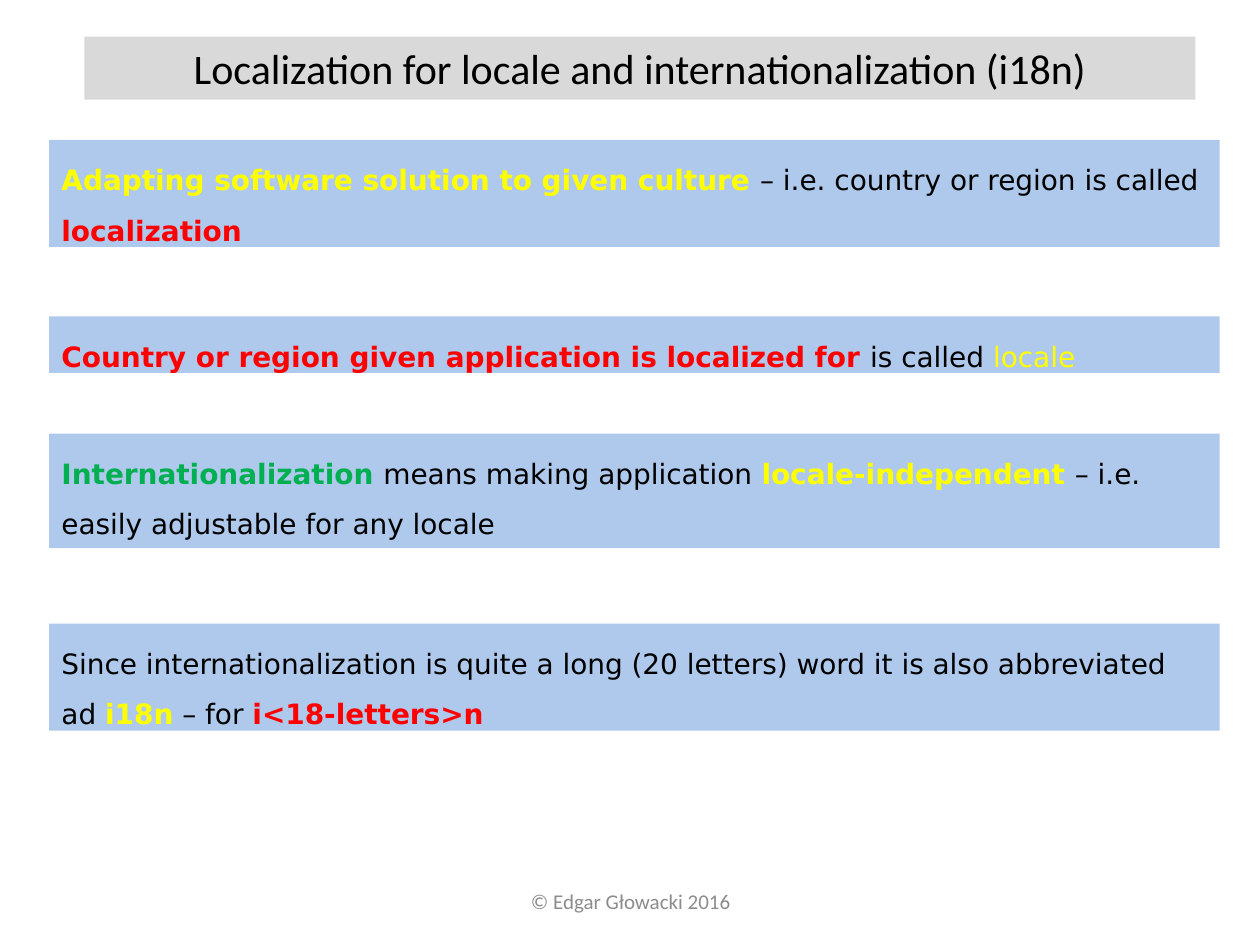
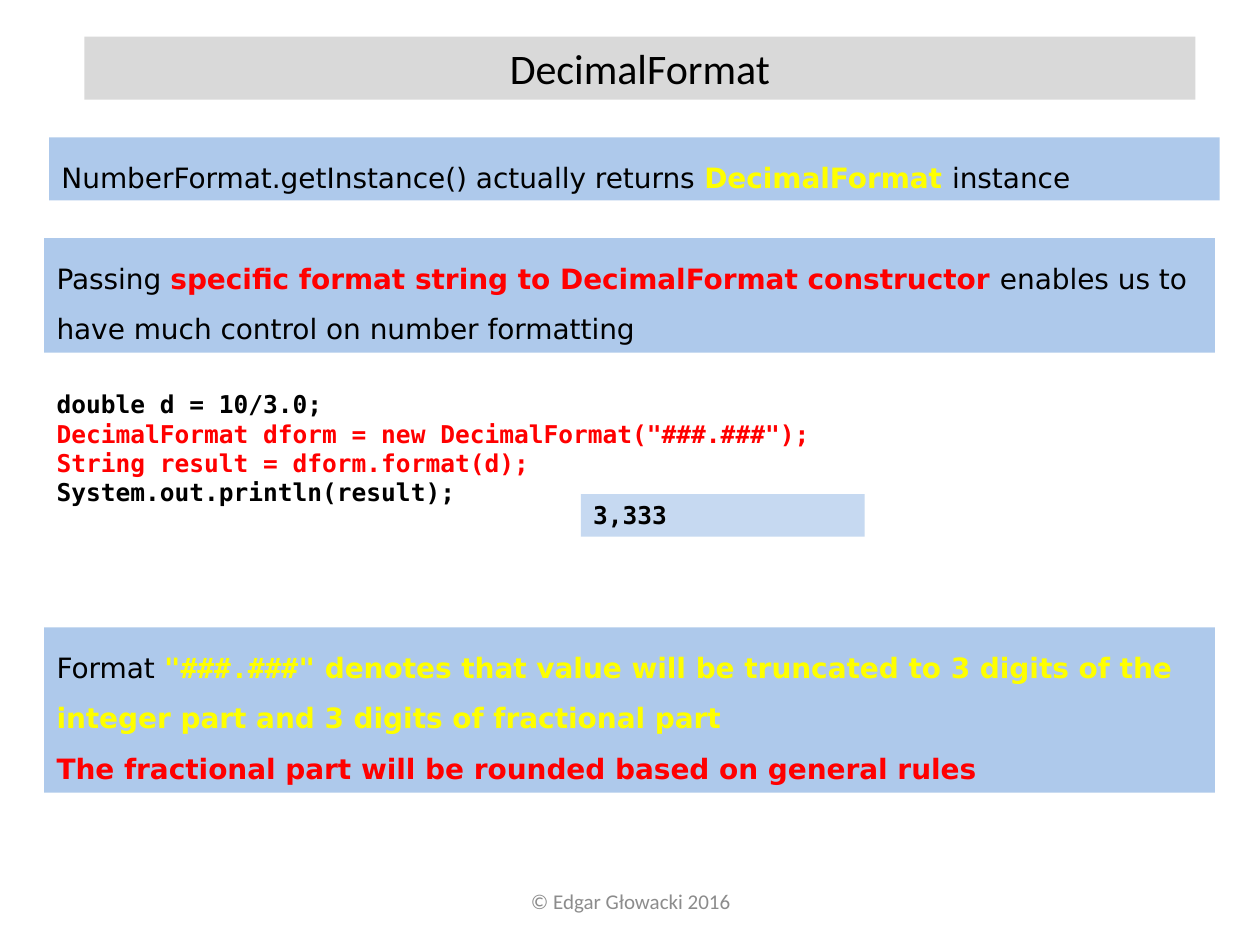
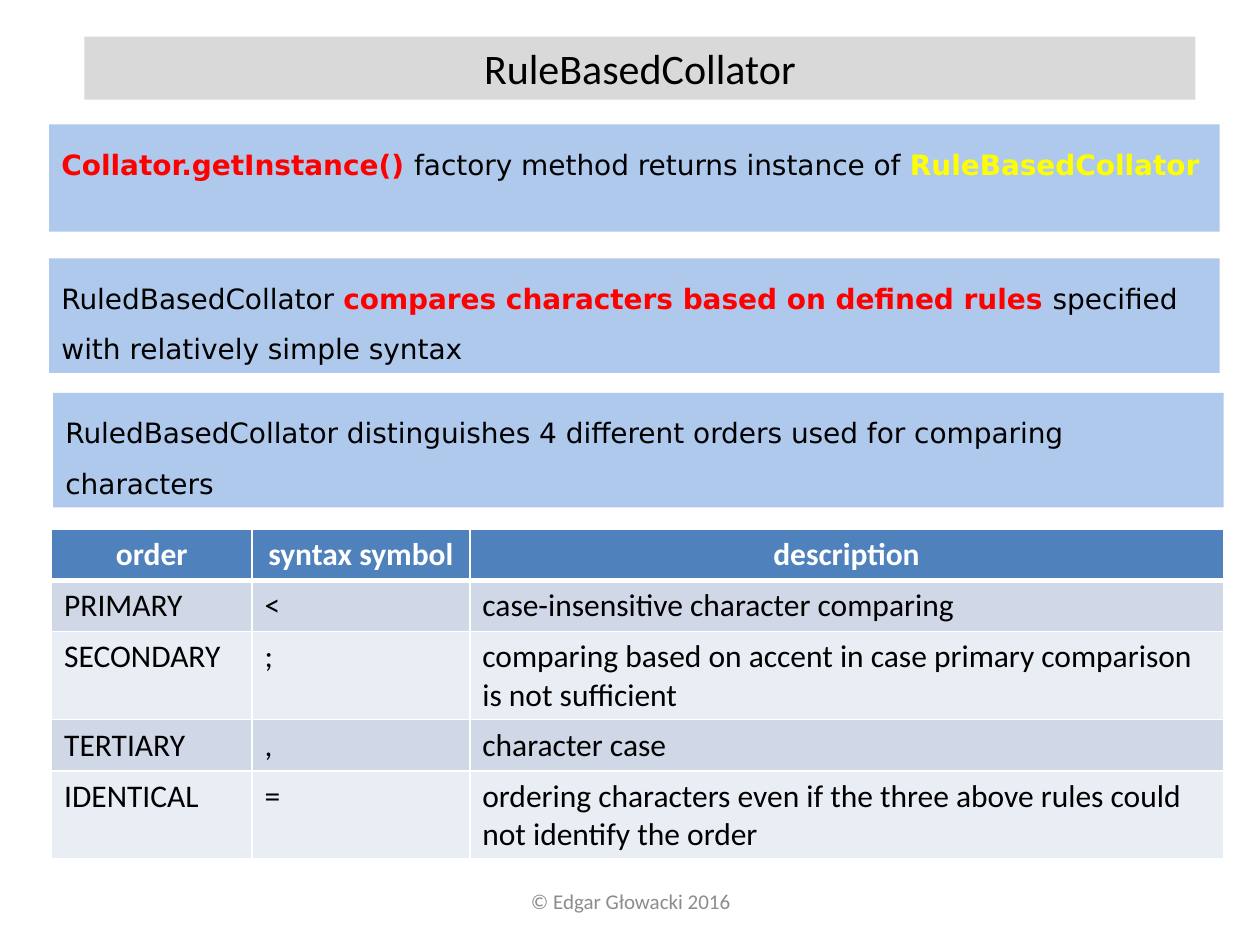
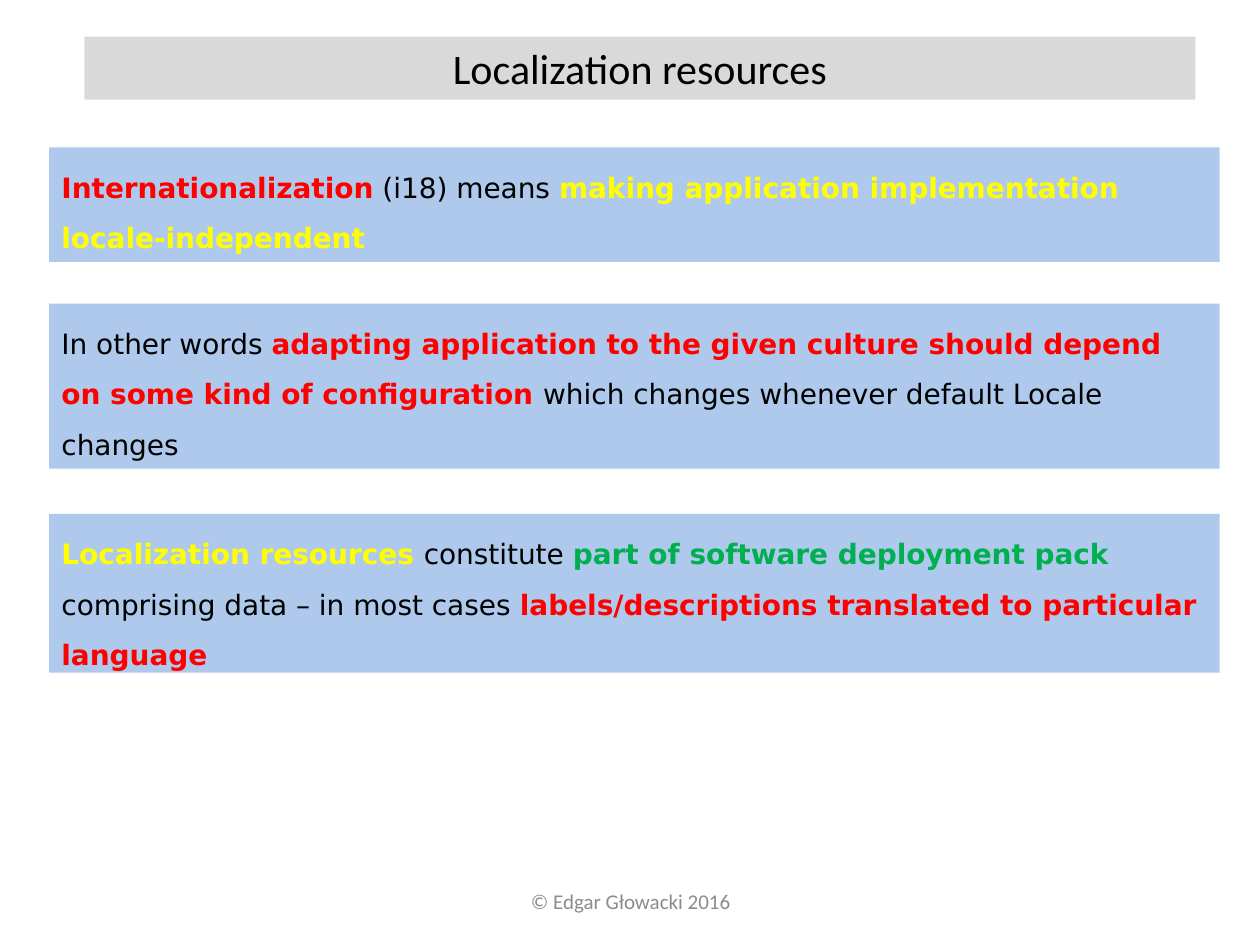
from dataclasses import dataclass
from typing import NamedTuple

from lxml.etree import SubElement
from pptx import Presentation
from pptx.dml.color import RGBColor
from pptx.enum.shapes import MSO_SHAPE
from pptx.enum.text import MSO_ANCHOR, MSO_AUTO_SIZE, PP_ALIGN
from pptx.oxml.ns import qn
from pptx.util import Cm, Pt

SANS, MONO, HEADING = "DejaVu Sans", "DejaVu Sans Mono", "Calibri"
BLACK, WHITE, GREY = "000000", "FFFFFF", "8C8C8C"
RED, YELLOW, GREEN = "FF0000", "FFFF00", "00B050"
TITLE_BAND, NOTE_BAND, OUTPUT_BAND = "D9D9D9", "8EB4E3", "C6D9F1"
HEADER_FILL, ROW_FILLS = "4F81BD", ("D0D8E8", "E9EDF4")
NOTE_OPACITY = 71
FOOTER = "© Edgar Głowacki 2016"


class Box(NamedTuple):
    """A place on the slide, in centimetres."""
    left: float
    top: float
    width: float
    height: float

    def lengths(self) -> list[Cm]:
        return [Cm(value) for value in self]


class Span(NamedTuple):
    text: str
    color: str = BLACK
    bold: bool = False
    font: str = SANS


@dataclass
class Style:
    size: int
    align: PP_ALIGN = PP_ALIGN.LEFT
    line_spacing: float = 1.0
    anchor: MSO_ANCHOR = MSO_ANCHOR.TOP
    grows: bool = True


@dataclass
class Note:
    """A blue band that holds one or more paragraphs of spans."""
    top: float
    height: float
    paragraphs: list[list[Span]]
    left: float = 0.99


@dataclass
class Page:
    title: str
    notes: list[Note]


TITLE_BOX = Box(1.7, 0.74, 22.4, 1.27)
FOOTER_BOX = Box(8.69, 17.65, 8.05, 1.02)
NOTE_WIDTH = 23.6
TITLE_STYLE = Style(24, PP_ALIGN.CENTER)
FOOTER_STYLE = Style(12, PP_ALIGN.CENTER, anchor=MSO_ANCHOR.MIDDLE, grows=False)
NOTE_STYLE = Style(16, line_spacing=1.5)
CODE_STYLE = Style(14)


def strong(text: str, color: str, font: str = SANS) -> Span:
    return Span(text, color, True, font)


PAGES = [
    Page("Localization for locale and internationalization (i18n)", [
        Note(2.82, 2.16, [[
            strong("Adapting software solution to given culture ", YELLOW),
            Span("– i.e. country or region is called "),
            strong("localization", RED)]]),
        Note(6.38, 1.14, [[
            strong("Country or region given application is localized for ", RED),
            Span("is called "),
            Span("locale", YELLOW)]]),
        Note(8.74, 2.31, [[
            strong("Internationalization ", GREEN),
            Span("means making application "),
            strong("locale-independent ", YELLOW),
            Span("– i.e. easily adjustable for any locale")]]),
        Note(12.57, 2.16, [[
            Span("Since internationalization is quite a long (20 letters) word "
                 "it is also abbreviated ad "),
            strong("i18n", YELLOW),
            Span(" – for "),
            strong("i<18-letters>n", RED)]]),
    ]),
    Page("DecimalFormat", [
        Note(2.77, 1.27, [[
            Span("NumberFormat.getInstance() actually returns "),
            strong("DecimalFormat ", YELLOW),
            Span("instance")]]),
        Note(4.8, 2.31, [[
            Span("Passing "),
            strong("specific format string to DecimalFormat constructor ", RED),
            Span("enables us to have much control on number formatting")]], left=0.89),
        Note(12.65, 3.33, [
            [Span("Format "),
             strong('"###.###"', YELLOW, MONO),
             strong(" denotes that value will be truncated to 3 digits of the "
                    "integer part and 3 digits of fractional part", YELLOW)],
            [strong("The fractional part will be rounded based on general rules", RED)],
        ], left=0.89),
    ]),
    Page("RuleBasedCollator", [
        Note(2.51, 2.16, [[
            strong("Collator.getInstance() ", RED),
            Span("factory method returns instance of "),
            strong("RuleBasedCollator", YELLOW)]]),
        Note(5.21, 2.31, [[
            Span("RuledBasedCollator "),
            strong("compares characters based on defined rules ", RED),
            Span("specified with relatively simple syntax")]]),
        Note(7.92, 2.31, [[
            Span("RuledBasedCollator distinguishes 4 different orders used "
                 "for comparing characters")]], left=1.07),
    ]),
    Page("Localization resources", [
        Note(2.97, 2.31, [[
            strong("Internationalization", RED),
            Span(" (i18) means "),
            strong("making application implementation locale-independent", YELLOW)]]),
        Note(6.12, 3.33, [[
            Span("In other words "),
            strong("adapting application to the given culture should depend on "
                   "some kind of configuration ", RED),
            Span("which changes whenever default Locale changes")]]),
        Note(10.36, 3.2, [[
            strong("Localization resources ", YELLOW),
            Span("constitute "),
            strong("part of software deployment pack ", GREEN),
            Span("comprising data – in most cases "),
            strong("labels/descriptions translated to particular language", RED)]]),
    ]),
]

CODE_BOX = Box(0.89, 7.72, 23.52, 2.64)
CODE = [
    ("double d = 10/3.0;", BLACK),
    ('DecimalFormat dform = new DecimalFormat("###.###");', RED),
    ("String result = dform.format(d);", RED),
    ("System.out.println(result);", BLACK),
]
OUTPUT_BOX = Box(11.71, 9.96, 5.72, 0.86)

ORDERS_LEFT, ORDERS_TOP = 1.04, 10.67
ORDERS_COLUMNS = (4.04, 4.39, 15.19)
ORDERS_ROW = 1.03
ORDERS = [
    ("order", "syntax symbol", "description"),
    ("PRIMARY", "<", "case-insensitive character comparing"),
    ("SECONDARY", ";", "comparing based on accent in case primary comparison is not sufficient"),
    ("TERTIARY", ",", "character case"),
    ("IDENTICAL", "=", "ordering characters even if the three above rules could not "
                       "identify the order"),
]


def rgb(color: str) -> RGBColor:
    return RGBColor.from_string(color)


def write_spans(paragraph, spans: list[Span], size: int) -> None:
    for span in spans:
        run = paragraph.add_run()
        run.text = span.text
        run.font.name = span.font
        run.font.size = Pt(size)
        run.font.bold = span.bold
        run.font.color.rgb = rgb(span.color)


def write(shape, paragraphs: list[list[Span]], style: Style) -> None:
    frame = shape.text_frame
    frame.word_wrap = True
    frame.vertical_anchor = style.anchor
    frame.auto_size = MSO_AUTO_SIZE.SHAPE_TO_FIT_TEXT if style.grows else MSO_AUTO_SIZE.NONE
    for index, spans in enumerate(paragraphs):
        paragraph = frame.add_paragraph() if index else frame.paragraphs[0]
        paragraph.alignment = style.align
        paragraph.line_spacing = style.line_spacing
        write_spans(paragraph, spans, style.size)


def add_text(slide, box: Box, paragraphs: list[list[Span]], style: Style) -> None:
    write(slide.shapes.add_textbox(*box.lengths()), paragraphs, style)


def add_band(slide, box: Box, color: str, paragraphs: list[list[Span]], style: Style,
             opacity: int = 100) -> None:
    band = slide.shapes.add_shape(MSO_SHAPE.RECTANGLE, *box.lengths())
    band.shadow.inherit = False
    band.line.fill.background()
    band.fill.solid()
    band.fill.fore_color.rgb = rgb(color)
    if opacity < 100:
        fill_color = band.fill._xPr.find(qn("a:solidFill"))[0]
        SubElement(fill_color, qn("a:alpha"), val=str(opacity * 1000))
    write(band, paragraphs, style)


def add_page(deck, page: Page):
    slide = deck.slides.add_slide(deck.slide_layouts[6])
    add_text(slide, FOOTER_BOX, [[Span(FOOTER, GREY, font=HEADING)]], FOOTER_STYLE)
    add_band(slide, TITLE_BOX, TITLE_BAND, [[Span(page.title, font=HEADING)]], TITLE_STYLE)
    for note in page.notes:
        box = Box(note.left, note.top, NOTE_WIDTH, note.height)
        add_band(slide, box, NOTE_BAND, note.paragraphs, NOTE_STYLE, NOTE_OPACITY)
    return slide


def add_code_example(slide) -> None:
    add_band(slide, OUTPUT_BOX, OUTPUT_BAND, [[strong("3,333", BLACK, MONO)]], CODE_STYLE)
    lines = [[strong(line, color, MONO)] for line, color in CODE]
    add_text(slide, CODE_BOX, lines, CODE_STYLE)


def add_borders(cell, top: int, bottom: int) -> None:
    """Draw white borders; must come before the cell's fill."""
    properties = cell._tc.get_or_add_tcPr()
    for side, width in (("L", 1), ("R", 1), ("T", top), ("B", bottom)):
        line = SubElement(properties, qn(f"a:ln{side}"), w=str(Pt(width)))
        SubElement(SubElement(line, qn("a:solidFill")), qn("a:srgbClr"), val=WHITE)


def add_orders_table(slide) -> None:
    box = Box(ORDERS_LEFT, ORDERS_TOP, sum(ORDERS_COLUMNS), ORDERS_ROW * len(ORDERS))
    table = slide.shapes.add_table(len(ORDERS), len(ORDERS_COLUMNS), *box.lengths()).table
    table.horz_banding = False
    for column, width in zip(table.columns, ORDERS_COLUMNS):
        column.width = Cm(width)
    for row, texts in enumerate(ORDERS):
        is_header = row == 0
        for column, text in enumerate(texts):
            cell = table.cell(row, column)
            add_borders(cell, top=3 if row == 1 else 1, bottom=3 if is_header else 1)
            cell.fill.solid()
            cell.fill.fore_color.rgb = rgb(HEADER_FILL if is_header else ROW_FILLS[(row - 1) % 2])
            paragraph = cell.text_frame.paragraphs[0]
            paragraph.alignment = PP_ALIGN.CENTER if is_header else PP_ALIGN.LEFT
            color = WHITE if is_header else BLACK
            write_spans(paragraph, [Span(text, color, is_header, HEADING)], 18)


def main() -> None:
    deck = Presentation()
    deck.slide_width, deck.slide_height = Cm(25.4), Cm(19.05)
    _, decimal_format, collator, _ = [add_page(deck, page) for page in PAGES]
    add_code_example(decimal_format)
    add_orders_table(collator)
    deck.save("out.pptx")


if __name__ == "__main__":
    main()
